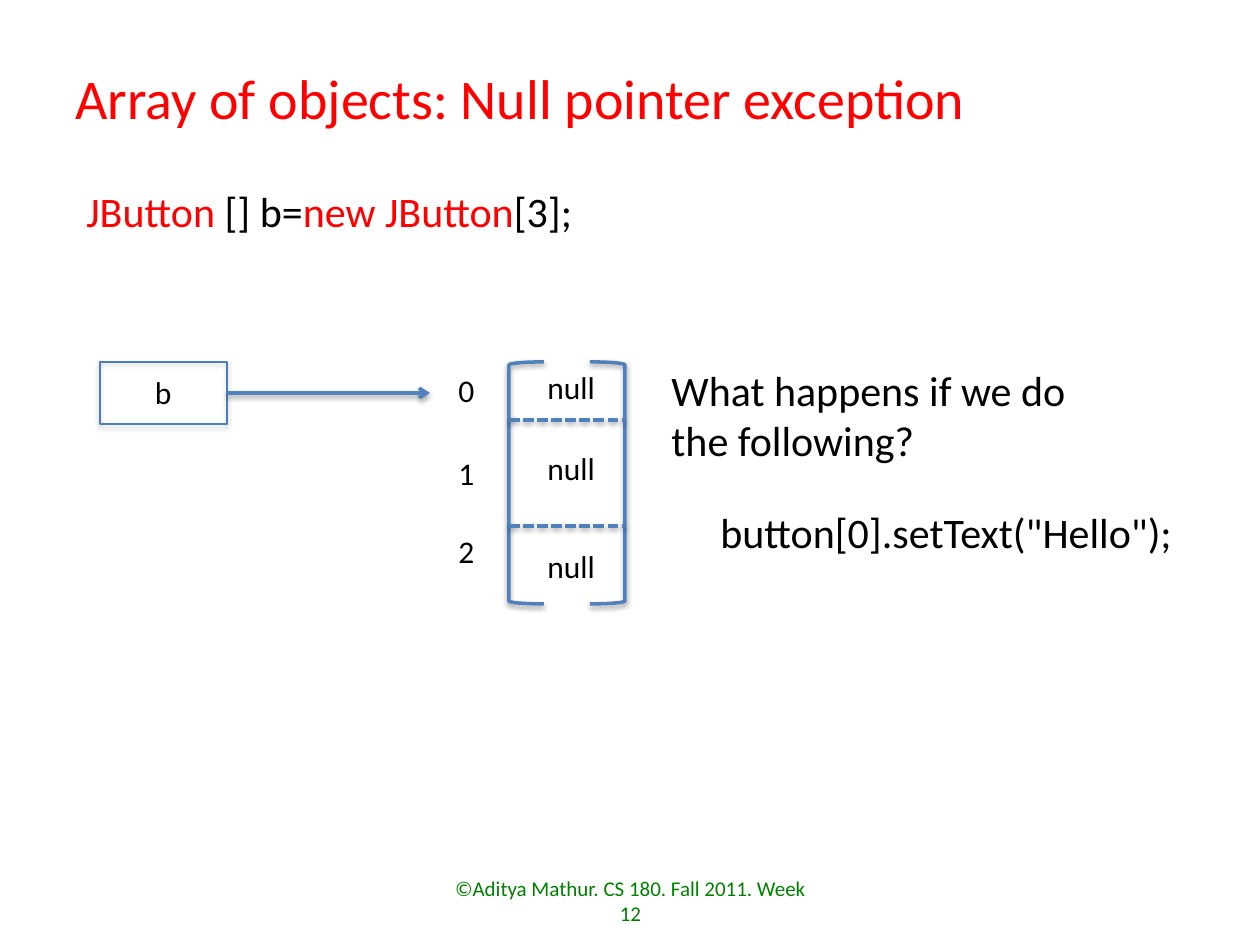
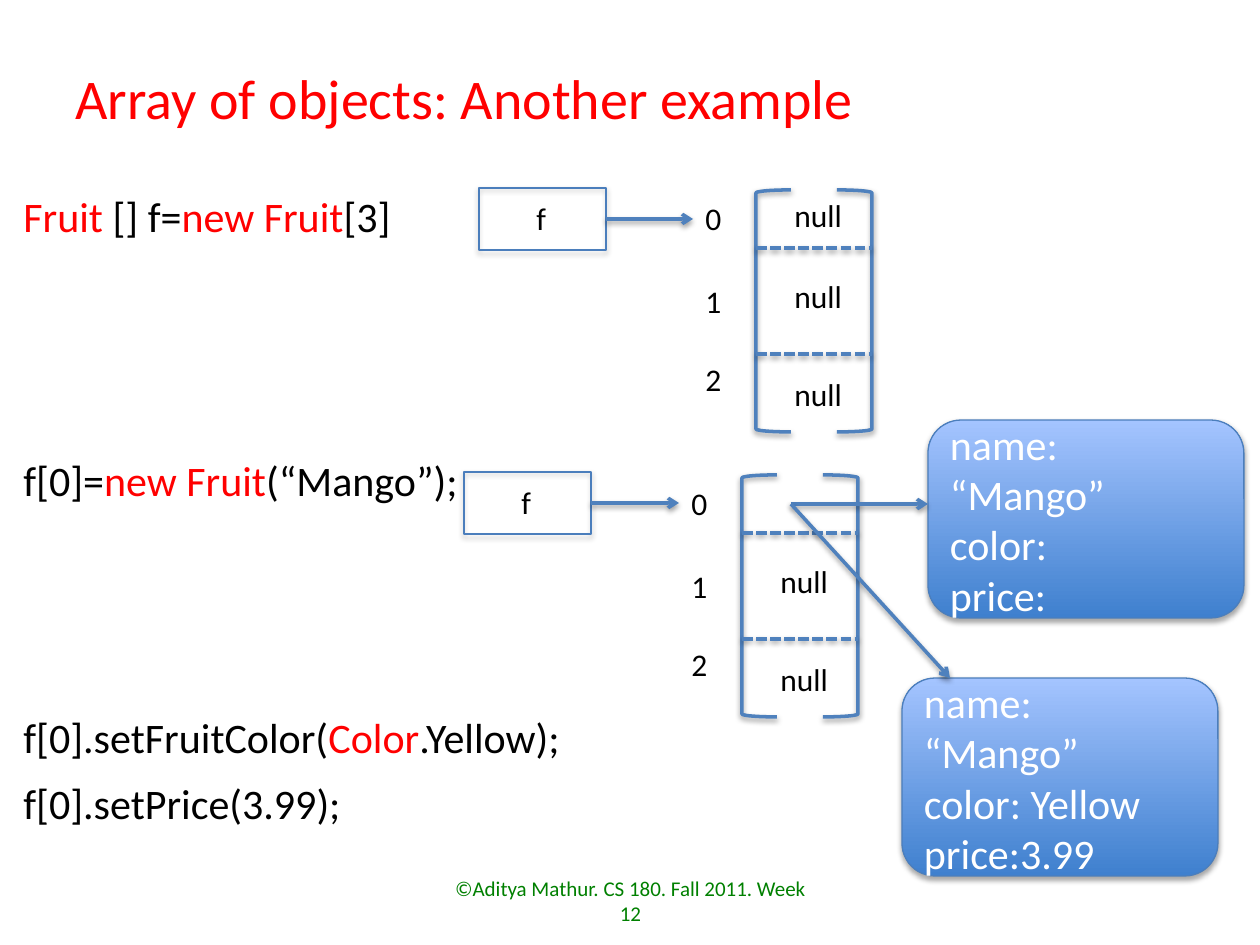
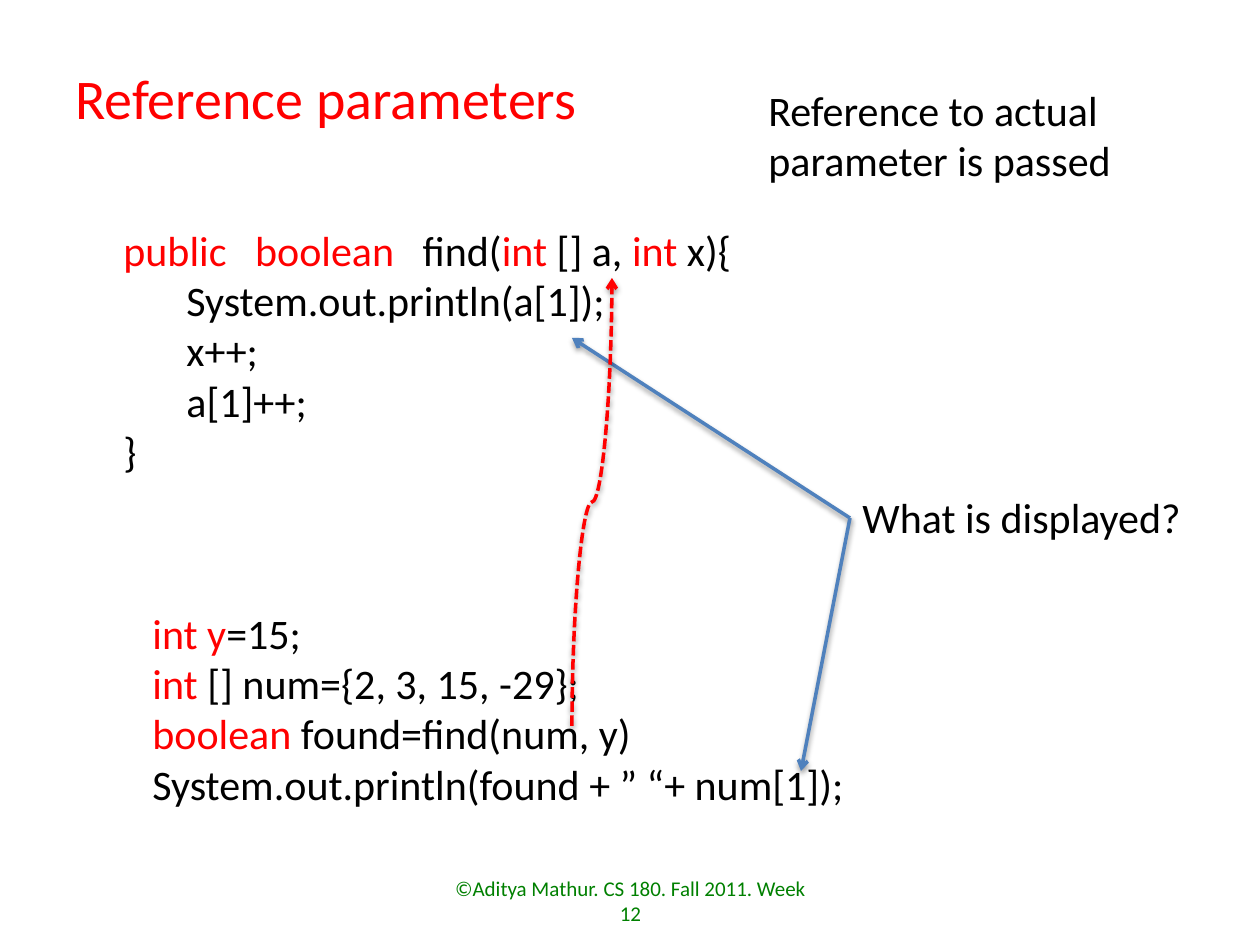
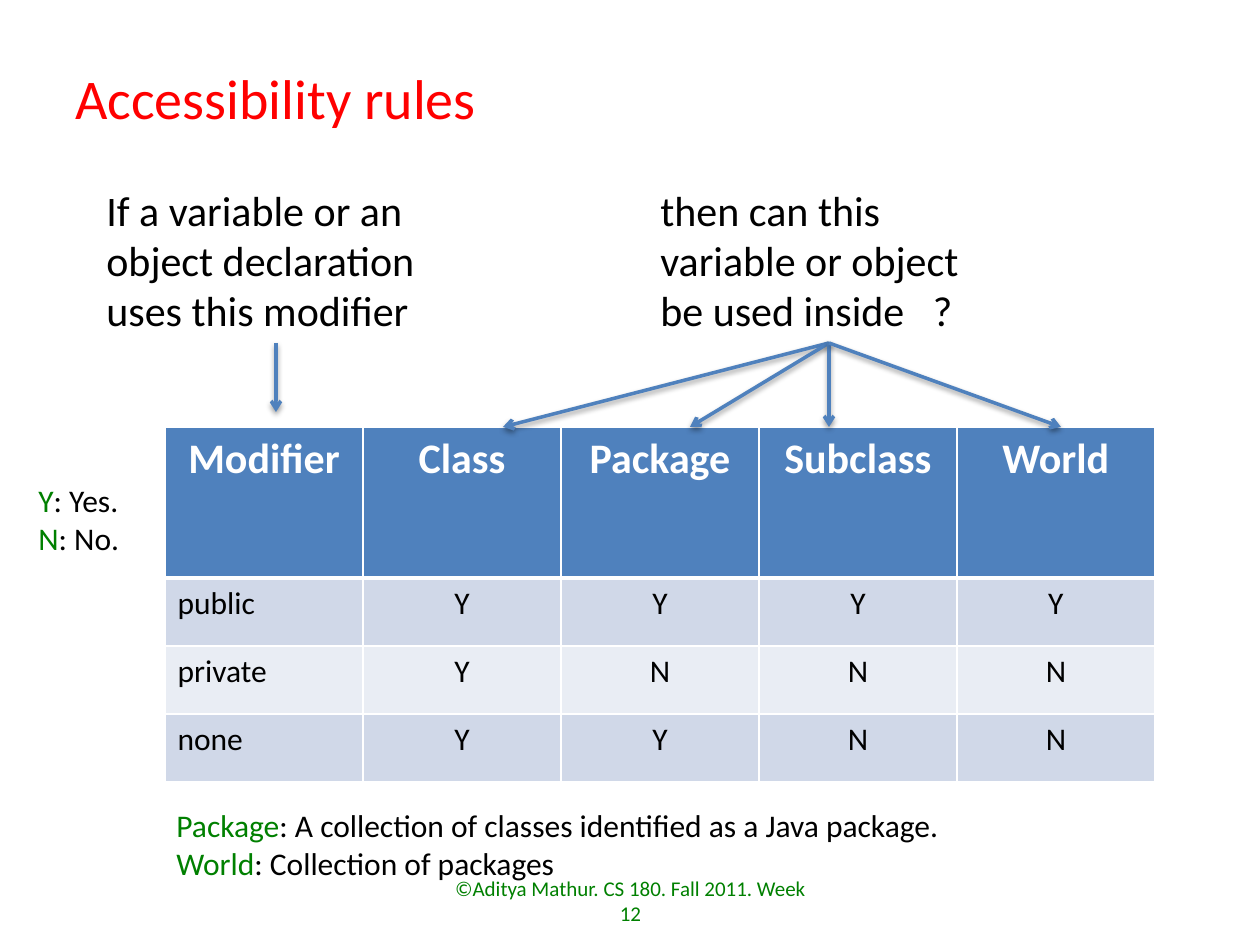
"""Build four lecture slides on object arrays, reference parameters and access rules."""
from lxml.etree import SubElement
from pptx import Presentation
from pptx.dml.color import RGBColor
from pptx.enum.dml import MSO_LINE
from pptx.enum.shapes import MSO_CONNECTOR, MSO_SHAPE
from pptx.enum.text import MSO_ANCHOR, MSO_AUTO_SIZE, PP_ALIGN
from pptx.oxml.ns import qn
from pptx.util import Emu, Pt

RED = RGBColor(0xFF, 0x00, 0x00)
GREEN = RGBColor(0x00, 0x80, 0x00)
BLACK = RGBColor(0x00, 0x00, 0x00)
WHITE = RGBColor(0xFF, 0xFF, 0xFF)
BLUE = RGBColor(0x4F, 0x81, 0xBD)
OUTLINE = RGBColor(0x4B, 0x7E, 0xBC)
CARD_BOTTOM = RGBColor(0x3F, 0x80, 0xCE)
CARD_TOP = RGBColor(0xA4, 0xC4, 0xFF)
BANDS = (RGBColor(0xE9, 0xED, 0xF4), RGBColor(0xD0, 0xD8, 0xE8))
FONT = "Calibri"
FOOTER = "©Aditya Mathur. CS 180. Fall 2011. Week 12"
WIDE_GAP = Pt(10.85)


def px(length):
    return Emu(round(length * 914400 / 126))


class Lecture:
    def __init__(self):
        self.deck = Presentation()
        self.deck.slide_width, self.deck.slide_height = px(1260), px(945)
        self.shapes = None

    def page(self, title):
        self.shapes = self.deck.slides.add_slide(self.deck.slide_layouts[6]).shapes
        self.text(63, 58, 998, 135, [[(title, RED)]], size=32, leading=38, grow=False)
        footer = self.text(431, 876, 399, 50, [[(FOOTER, GREEN)]], size=12, grow=False)
        footer.vertical_anchor = MSO_ANCHOR.MIDDLE
        footer.paragraphs[0].alignment = PP_ALIGN.CENTER

    def add_spans(self, para, spans, size, color=BLACK, bold=False):
        """Add spans, each a string or (text, colour[, extra letter spacing])."""
        for item in [spans] if isinstance(spans, str) else spans:
            wording, tint, *spacing = (item, color) if isinstance(item, str) else item
            span = para.add_run()
            span.text = wording
            span.font.name, span.font.size, span.font.bold = FONT, Pt(size), bold
            span.font.color.rgb = tint
            if spacing:
                span.font._element.set("spc", str(round(spacing[0].pt * 100)))

    def fill_frame(self, frame, paragraphs, size, color=BLACK, leading=None, indents=()):
        for number, spans in enumerate(paragraphs):
            para = frame.add_paragraph() if number else frame.paragraphs[0]
            para.alignment = PP_ALIGN.LEFT
            if leading:
                para.line_spacing = Pt(leading)
            if indents:
                para._p.get_or_add_pPr().set("marL", str(px(indents[number])))
            self.add_spans(para, spans, size, color)

    def text(self, x, y, width, height, paragraphs, size=24, wrap=True, grow=True,
             leading=None, indents=()):
        frame = self.shapes.add_textbox(px(x), px(y), px(width), px(height)).text_frame
        frame.word_wrap = wrap
        frame.auto_size = MSO_AUTO_SIZE.SHAPE_TO_FIT_TEXT if grow else MSO_AUTO_SIZE.NONE
        self.fill_frame(frame, paragraphs, size, leading=leading, indents=indents)
        return frame

    def label(self, x, y, width, wording):
        self.text(x, y, width, 50, [wording], size=18, wrap=False)

    def shadow(self, shape, distance=20000, opacity=38000):
        effects = SubElement(shape._element.spPr, qn("a:effectLst"))
        outer = SubElement(effects, qn("a:outerShdw"), blurRad="40000", dist=str(distance),
                           dir="5400000", rotWithShape="0")
        tint = SubElement(outer, qn("a:srgbClr"), val="000000")
        SubElement(tint, qn("a:alpha"), val=str(opacity))

    def shape(self, kind, x, y, width, height, color=OUTLINE, weight=0.75):
        shape = self.shapes.add_shape(kind, px(x), px(y), px(width), px(height))
        shape.fill.background()
        shape.line.color.rgb, shape.line.width = color, Pt(weight)
        return shape

    def line(self, start, end, color=BLUE, dashed=False, arrow=True,
             kind=MSO_CONNECTOR.STRAIGHT):
        line = self.shapes.add_connector(kind, *map(px, start + end))
        line.line.color.rgb, line.line.width = color, Pt(2)
        if dashed:
            line.line.dash_style = MSO_LINE.SQUARE_DOT
        if arrow:
            SubElement(line.line._get_or_add_ln(), qn("a:tailEnd"), type="arrow")
        self.shadow(line)
        return line

    def rising_curve(self, start, end):
        """Draw an S-curve leaving upwards: a sideways curve turned by 90 degrees."""
        middle_x, middle_y = (start[0] + end[0]) / 2, (start[1] + end[1]) / 2
        reach, drift = (start[1] - end[1]) / 2, (end[0] - start[0]) / 2
        curve = self.line((middle_x + reach, middle_y + drift),
                          (middle_x - reach, middle_y - drift),
                          RED, dashed=True, kind=MSO_CONNECTOR.CURVE)
        curve._element.spPr.xfrm.set("rot", "5400000")

    def array(self, x, y, values):
        for offset in (0, 81):
            bracket = self.shape(MSO_SHAPE.LEFT_BRACKET, x + offset, y, 35, 242, BLUE, 2)
            if offset:
                bracket._element.spPr.xfrm.set("flipH", "1")
            self.shadow(bracket)
        for index, offset in enumerate((3, 86, 164)):
            self.label(x - 63, y + offset, 42, str(index))
        for offset in (58, 164):
            self.line((x, y + offset), (x + 116, y + offset), dashed=True, arrow=False)
        for value, offset in zip(values, (0, 81, 179)):
            if value:
                self.label(x + 26, y + offset, 73, value)

    def variable(self, x, y, name, label_width, arrow_end):
        self.label(x + (127 - label_width) / 2, y + 5, label_width, name)
        self.shadow(self.shape(MSO_SHAPE.RECTANGLE, x, y, 127, 62), 23000, 35000)
        self.line((x + 127, y + 31), (arrow_end, y + 31))

    def card(self, x, y, paragraphs):
        card = self.shape(MSO_SHAPE.ROUNDED_RECTANGLE, x, y, 316, 198)
        card.fill.gradient()
        card.fill.gradient_angle = 90
        for stop, color in zip(card.fill.gradient_stops, (CARD_BOTTOM, CARD_TOP)):
            stop.color.rgb = color
        self.shadow(card, 23000, 35000)
        frame = card.text_frame
        frame.word_wrap, frame.vertical_anchor = True, MSO_ANCHOR.MIDDLE
        frame.margin_right = px(24)
        self.fill_frame(frame, paragraphs, 24, WHITE)

    def border(self, cell, top, bottom):
        for side, weight in zip("LRTB", (1, 1, top, bottom)):
            edge = SubElement(cell._tc.get_or_add_tcPr(), qn(f"a:ln{side}"),
                              w=str(Pt(weight)))
            SubElement(SubElement(edge, qn("a:solidFill")), qn("a:srgbClr"), val=str(WHITE))

    def table(self, x, y, column_width, row_heights, rows):
        table = self.shapes.add_table(len(rows), len(rows[0]), px(x), px(y),
                                      px(column_width * len(rows[0])),
                                      px(sum(row_heights))).table
        for column in table.columns:
            column.width = px(column_width)
        for r, (height, values) in enumerate(zip(row_heights, rows)):
            table.rows[r].height = px(height)
            header = r == 0
            for c, value in enumerate(values):
                cell = table.cell(r, c)
                self.border(cell, 3 if r == 1 else 1, 3 if header else 1)
                cell.fill.solid()
                cell.fill.fore_color.rgb = BLUE if header else BANDS[r % 2]
                para = cell.text_frame.paragraphs[0]
                para.alignment = PP_ALIGN.CENTER if header or c else PP_ALIGN.LEFT
                self.add_spans(para, value, 24 if header else 18, WHITE if header else BLACK,
                               bold=header)


def null_pointer(lecture):
    lecture.page("Array of objects: Null pointer exception")
    lecture.text(11, 181, 1048, 63, [[("JButton", RED), " [] b=", ("new JButton", RED), "[3];"]],
                 leading=28, indents=(63,))
    lecture.array(509, 362, ["null"] * 3)
    lecture.variable(100, 362, "b", 42, 430)
    lecture.text(708, 500, 489, 63, ['button[0].setText("Hello");'])
    lecture.text(659, 358, 423, 115, ["What happens if we do", "the following?"], wrap=False)


def fruit_array(lecture):
    lecture.page("Array of objects: Another example")
    lecture.text(11, 168, 465, 77, [[("Fruit", RED), " [] f=", ("new Fruit", RED), "[3]"]],
                 leading=38)
    lecture.text(11, 689, 580, 145,
                 [["f[0].setFruitColor(", ("Color", RED), ".Yellow);"], "f[0].setPrice(3.99);"],
                 leading=38)
    lecture.text(11, 432, 465, 77, [["f[0]=", ("new Fruit", RED), "(“Mango”);"]], leading=38)
    lecture.array(756, 190, ["null"] * 3)
    lecture.variable(479, 188, "f", 37, 693)
    lecture.array(742, 475, [None, "null", "null"])
    lecture.variable(464, 472, "f", 37, 679)
    pointer = (791, 504)
    lecture.card(928, 420, ["name: “Mango”", "color:", "price:"])
    lecture.line(pointer, (928, 504))
    lecture.card(902, 678, ["name: “Mango”", "color: Yellow", "price:3.99"])
    lecture.line(pointer, (950, 678))


def reference_parameters(lecture):
    lecture.page("Reference parameters")
    gap = (" ", RED, WIDE_GAP)
    lecture.text(111, 218, 639, 267, [
        [("public", RED), gap, ("boolean", RED), gap, "find(", ("int", RED), " [] a, ",
         ("int ", RED), "x){"],
        "System.out.println(a[1]);", "x++;", "a[1]++;", "}",
    ], wrap=False, indents=(0, 63, 63, 63, 0))
    lecture.text(140, 601, 723, 217, [
        [("int y", RED), "=15;"],
        [("int", RED), " [] num={2, 3, 15, -29};"],
        [("boolean", RED), " found=find(num, y)"],
        "System.out.println(found + ” “+ num[1]);",
    ], wrap=False)
    lecture.text(850, 485, 347, 63, ["What is displayed?"], wrap=False)
    for target in ((572, 338), (801, 771)):
        lecture.line((850, 518), target)
    lecture.text(756, 78, 446, 115, ["Reference to actual parameter is passed"])
    lecture.rising_curve((572, 726), (612, 278))


def accessibility(lecture):
    lecture.page("Accessibility rules")
    lecture.table(165, 427, 198, (151, 68, 68, 68), [
        ("Modifier", "Class", "Package", "Subclass", "World"),
        ("public", *"YYYY"),
        ("private", *"YNNN"),
        ("none", *"YYNN"),
    ])
    lecture.text(94, 178, 363, 165,
                 ["If a variable or an object declaration uses this modifier"])
    lecture.line((276, 343), (276, 412))
    lecture.text(648, 178, 363, 165,
                 [["then can this variable or object be used inside", (" ", BLACK, WIDE_GAP), "?"]])
    for x in (503, 690, 829, 1061):
        lecture.line((829, 343), (x, 427))
    lecture.text(164, 800, 795, 89, [
        [("Package", GREEN), ": A collection of classes identified as a Java package."],
        [("World", GREEN), ": Collection of packages"],
    ], size=18, wrap=False)
    lecture.text(26, 475, 107, 89, [[("Y", GREEN), ": Yes."], [("N", GREEN), ": No."]],
                 size=18, wrap=False)


lecture = Lecture()
for build in (null_pointer, fruit_array, reference_parameters, accessibility):
    build(lecture)
lecture.deck.save("out.pptx")
